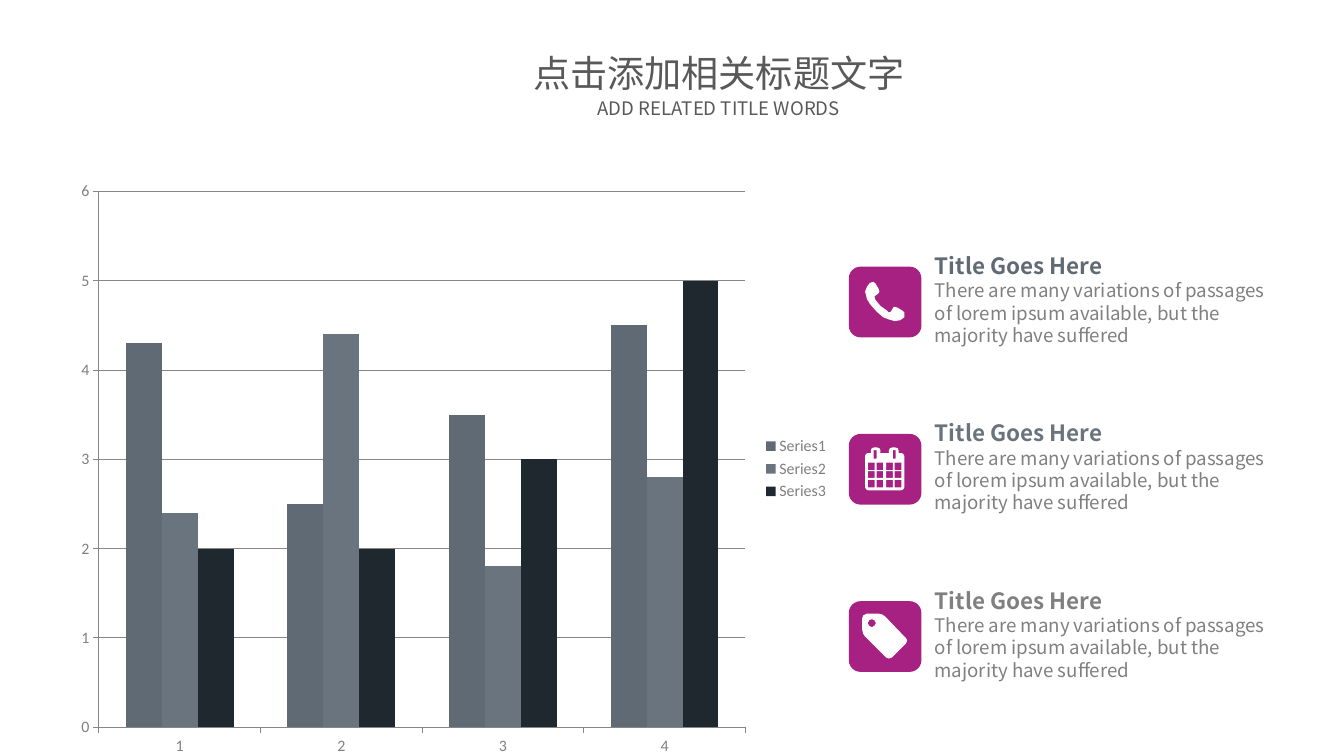
from itertools import product
from math import cos, pi, sin

from pptx import Presentation
from pptx.chart.data import CategoryChartData
from pptx.dml.color import RGBColor
from pptx.enum.chart import XL_CHART_TYPE, XL_LEGEND_POSITION, XL_TICK_MARK
from pptx.enum.shapes import MSO_SHAPE
from pptx.enum.text import MSO_AUTO_SIZE, PP_ALIGN
from pptx.oxml.ns import qn
from pptx.util import Inches, Pt

SLATE = RGBColor(0x60, 0x6A, 0x74)
STEEL = RGBColor(0x69, 0x74, 0x7E)
INK = RGBColor(0x20, 0x28, 0x2F)
GRAY = RGBColor(0x80, 0x80, 0x80)
AXIS_GRAY = RGBColor(0x86, 0x86, 0x86)
HEADING = RGBColor(0x59, 0x59, 0x59)
MAGENTA = RGBColor(0xA7, 0x21, 0x83)
WHITE = RGBColor(0xFF, 0xFF, 0xFF)

TEXT_FONT = "Noto Sans CJK SC"
CHART_FONT = "Calibri"
BODY = ("There are many variations of passages of lorem ipsum available, "
        "but the majority have suffered")


def rectangle(left, top, width, height):
    return [(left, top), (left + width, top),
            (left + width, top + height), (left, top + height)]


# Icon outlines, in hundredths of an inch from the icon's corner
PHONE = [[(41, 37), (37, 40), (31, 41), (24, 39), (19, 37), (12, 31), (5, 23),
          (2, 18), (0, 10), (2, 5), (5, 1), (8, 0), (9, 0), (11, 2), (14, 7),
          (15, 10), (14, 12), (10, 15), (10, 16), (11, 19), (16, 25), (23, 30),
          (25, 32), (27, 31), (30, 26), (31, 26), (34, 27), (39, 30), (41, 32)]]
CALENDAR = [[(41, 42), (40, 44), (38, 45), (3, 45), (1, 44), (0, 42), (0, 9),
             (1, 7), (3, 6), (6, 6), (6, 3), (7, 1), (10, 0), (12, 0), (15, 1),
             (16, 3), (16, 6), (25, 6), (25, 3), (26, 1), (29, 0), (31, 0),
             (34, 1), (35, 3), (35, 6), (38, 6), (40, 7), (41, 9)]]
CALENDAR += [rectangle(x, 3, 3, 9) for x in (9, 29)]
CALENDAR += [rectangle(x, y, 7, 7.5) for x, y in product((3, 12, 22, 31), (16, 25, 34))]
TAG = [[(46, 31), (31, 46), (28, 47), (25, 46), (3, 24), (1, 21), (0, 17),
        (0, 5), (1, 2), (5, 0), (17, 0), (21, 1), (24, 3), (46, 26), (47, 28)],
       [(10 + 4 * cos(i * pi / 12), 10 + 4 * sin(i * pi / 12)) for i in range(24)]]

# Title colour, icon outline, icon offset inside the badge
FEATURES = [
    (SLATE, PHONE, 0.17, 0.16),
    (STEEL, CALENDAR, 0.17, 0.14),
    (GRAY, TAG, 0.14, 0.13),
]
SERIES = [
    ("Series1", (4.3, 2.5, 3.5, 4.5), SLATE),
    ("Series2", (2.4, 4.4, 1.8, 2.8), STEEL),
    ("Series3", (2, 2, 3, 5), INK),
]


def style_text(para, size, color, bold=False):
    for span in para.runs:
        span.font.name = TEXT_FONT
        span.font.size = Pt(size)
        span.font.bold = bold
        span.font.color.rgb = color
        east_asian = span.font._element.makeelement(qn("a:ea"), {"typeface": TEXT_FONT})
        span.font._element.find(qn("a:latin")).addnext(east_asian)


def paint(shape, color):
    shape.shadow.inherit = False
    shape.fill.solid()
    shape.fill.fore_color.rgb = color
    shape.line.fill.background()


def add_heading(page, left, top, width):
    lines = [("点击添加相关标题文字", 28, 0, 0.58),
             ("ADD RELATED TITLE WORDS", 14, 0.49, 0.34)]
    for text, size, offset, height in lines:
        box = page.shapes.add_textbox(Inches(left), Inches(top + offset),
                                      Inches(width), Inches(height))
        frame = box.text_frame
        frame.text = text
        frame.word_wrap = False
        frame.auto_size = MSO_AUTO_SIZE.SHAPE_TO_FIT_TEXT
        frame.paragraphs[0].alignment = PP_ALIGN.CENTER
        style_text(frame.paragraphs[0], size, HEADING)


def style_chart_font(font):
    font.name = CHART_FONT
    font.size = Pt(12)
    font.color.rgb = GRAY


def add_column_chart(page, left, top, width, height):
    data = CategoryChartData()
    data.categories = ["1", "2", "3", "4"]
    for name, values, _ in SERIES:
        data.add_series(name, values)
    chart = page.shapes.add_chart(
        XL_CHART_TYPE.COLUMN_CLUSTERED, Inches(left), Inches(top),
        Inches(width), Inches(height), data).chart
    chart.has_title = False
    style_chart_font(chart.font)

    # Columns
    plot = chart.plots[0]
    plot.gap_width = 150
    plot.overlap = 0
    plot.vary_by_categories = False
    for series, (_, _, color) in zip(plot.series, SERIES):
        series.format.fill.solid()
        series.format.fill.fore_color.rgb = color

    # Axes and gridlines
    for axis in (chart.category_axis, chart.value_axis):
        axis.major_tick_mark = XL_TICK_MARK.OUTSIDE
        axis.format.line.color.rgb = AXIS_GRAY
        style_chart_font(axis.tick_labels.font)
    scale = chart.value_axis
    scale.minimum_scale, scale.maximum_scale, scale.major_unit = 0, 6, 1
    scale.has_major_gridlines = True
    scale.major_gridlines.format.line.color.rgb = AXIS_GRAY

    # Legend
    chart.has_legend = True
    chart.legend.position = XL_LEGEND_POSITION.RIGHT
    chart.legend.include_in_layout = False
    style_chart_font(chart.legend.font)


def add_icon(shapes, contours, left, top):
    first, *others = contours
    builder = shapes.build_freeform(*first[0], scale=Inches(0.01))
    builder.add_line_segments(first[1:], close=True)
    for contour in others:
        builder.move_to(*contour[0])
        builder.add_line_segments(contour[1:], close=True)
    paint(builder.convert_to_shape(Inches(left), Inches(top)), WHITE)


def add_feature(page, left, top, title_color, contours, icon_x, icon_y):
    # Text beside the badge
    box = page.shapes.add_textbox(Inches(left + 0.8), Inches(top),
                                  Inches(3.69), Inches(1.09))
    frame = box.text_frame
    frame.word_wrap = True
    frame.auto_size = MSO_AUTO_SIZE.SHAPE_TO_FIT_TEXT
    frame.text = "Title Goes Here\n" + BODY
    title, body = frame.paragraphs
    style_text(title, 16.9, title_color, bold=True)
    style_text(body, 14.1, GRAY)

    # Badge with its icon
    badge_top = top + 0.2
    group = page.shapes.add_group_shape()
    badge = group.shapes.add_shape(MSO_SHAPE.ROUNDED_RECTANGLE, Inches(left),
                                   Inches(badge_top), Inches(0.76), Inches(0.74))
    paint(badge, MAGENTA)
    add_icon(group.shapes, contours, left + icon_x, badge_top + icon_y)


def main():
    deck = Presentation()
    deck.slide_width, deck.slide_height = Inches(14.06), Inches(7.91)
    page = deck.slides.add_slide(deck.slide_layouts[6])
    add_column_chart(page, 0.69, 1.78, 8.09, 6.25)
    for row, feature in enumerate(FEATURES):
        add_feature(page, 8.88, 2.59 + 1.75 * row, *feature)
    add_heading(page, 5.45, 0.48, 4.14)
    deck.save("out.pptx")


if __name__ == "__main__":
    main()
